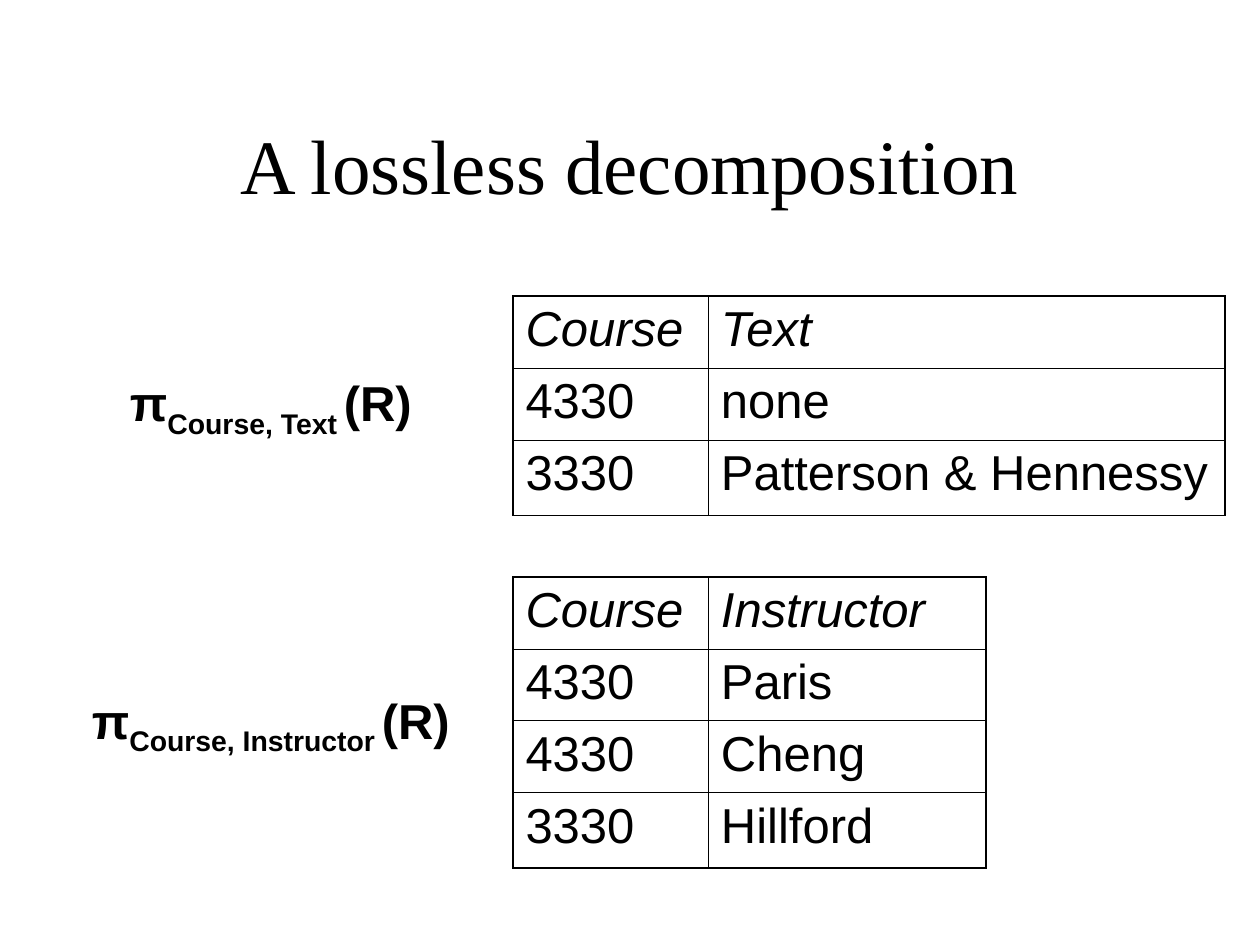
from lxml import etree
from pptx import Presentation
from pptx.dml.color import RGBColor
from pptx.enum import text
from pptx.oxml import ns
from pptx.util import Cm, Pt

BLACK = RGBColor(0, 0, 0)
OUTER_LINE, INNER_LINE = Pt(1.08), Pt(0.45)
ROW_HEIGHT, LAST_ROW_HEIGHT = Cm(1.45), Cm(1.52)
TABLE_LEFT, COURSE_WIDTH = Cm(10.34), Cm(3.94)
LABEL_LEFT, LABEL_WIDTH, LABEL_HEIGHT = Cm(1.27), Cm(8.38), Cm(1.6)

# attribute, label top, table top, width of second column, rows
PROJECTIONS = [
    ("Text", Cm(7.39), Cm(5.97), Cm(10.41),
     [("4330", "none"), ("3330", "Patterson & Hennessy")]),
    ("Instructor", Cm(13.79), Cm(11.63), Cm(5.59),
     [("4330", "Paris"), ("4330", "Cheng"), ("3330", "Hillford")]),
]


def set_font(font, size, name="Arial"):
    font.name = name
    font.size = Pt(size)
    font.color.rgb = BLACK


def add_title(slide, left, top, width, height):
    title = slide.shapes.title
    title.left, title.top, title.width, title.height = left, top, width, height
    frame = title.text_frame
    frame.text = "A lossless decomposition"
    frame.vertical_anchor = text.MSO_ANCHOR.MIDDLE
    paragraph = frame.paragraphs[0]
    paragraph.alignment = text.PP_ALIGN.CENTER
    set_font(paragraph.font, 44, "Times New Roman")


def set_borders(cell, line_widths):
    """Draw the cell's lines; line_widths are left, right, top, bottom."""
    properties = cell._tc.get_or_add_tcPr()
    for position, (side, width) in enumerate(zip("LRTB", line_widths)):
        line = etree.Element(ns.qn(f"a:ln{side}"), w=str(int(width)))
        fill = etree.SubElement(line, ns.qn("a:solidFill"))
        etree.SubElement(fill, ns.qn("a:srgbClr"), val=str(BLACK))
        properties.insert(position, line)


def add_relation(slide, left, top, column_widths, rows):
    """Add a table whose first row holds the attribute names in italics."""
    heights = [ROW_HEIGHT] * (len(rows) - 1) + [LAST_ROW_HEIGHT]
    table = slide.shapes.add_table(
        len(rows), len(column_widths), left, top,
        sum(column_widths), sum(heights)).table
    table.first_row = table.horz_banding = False
    for column, width in zip(table.columns, column_widths):
        column.width = width
    for row, height in zip(table.rows, heights):
        row.height = height

    last_row, last_column = len(rows) - 1, len(column_widths) - 1
    for row_index, values in enumerate(rows):
        for column_index, value in enumerate(values):
            cell = table.cell(row_index, column_index)
            cell.text = value
            cell.fill.background()
            font = cell.text_frame.paragraphs[0].font
            set_font(font, 28)
            font.italic = row_index == 0
            on_edge = (column_index == 0, column_index == last_column,
                       row_index == 0, row_index == last_row)
            set_borders(cell, [OUTER_LINE if edge else INNER_LINE
                               for edge in on_edge])


def add_projection_label(slide, left, top, width, height, attribute):
    frame = slide.shapes.add_textbox(left, top, width, height).text_frame
    frame.word_wrap = True
    frame.vertical_anchor = text.MSO_ANCHOR.MIDDLE
    paragraph = frame.paragraphs[0]
    paragraph.alignment = text.PP_ALIGN.CENTER
    parts = [("π", 28, False), (f"Course, {attribute}", 28, True),
             (" ", 24, True), ("(R)", 28, False)]
    for part, size, is_subscript in parts:
        run = paragraph.add_run()
        run.text = part
        set_font(run.font, size)
        run.font.bold = True
        if is_subscript:
            run._r.get_or_add_rPr().set("baseline", "-25000")


def main():
    presentation = Presentation()
    presentation.slide_width, presentation.slide_height = Cm(25.4), Cm(19.05)
    slide = presentation.slides.add_slide(presentation.slide_layouts[5])
    add_title(slide, Cm(1.9), Cm(1.7), Cm(21.6), Cm(3.18))
    for attribute, label_top, table_top, width, rows in PROJECTIONS:
        add_relation(slide, TABLE_LEFT, table_top, [COURSE_WIDTH, width],
                     [("Course", attribute), *rows])
        add_projection_label(slide, LABEL_LEFT, label_top,
                             LABEL_WIDTH, LABEL_HEIGHT, attribute)
    presentation.save("out.pptx")


if __name__ == "__main__":
    main()
